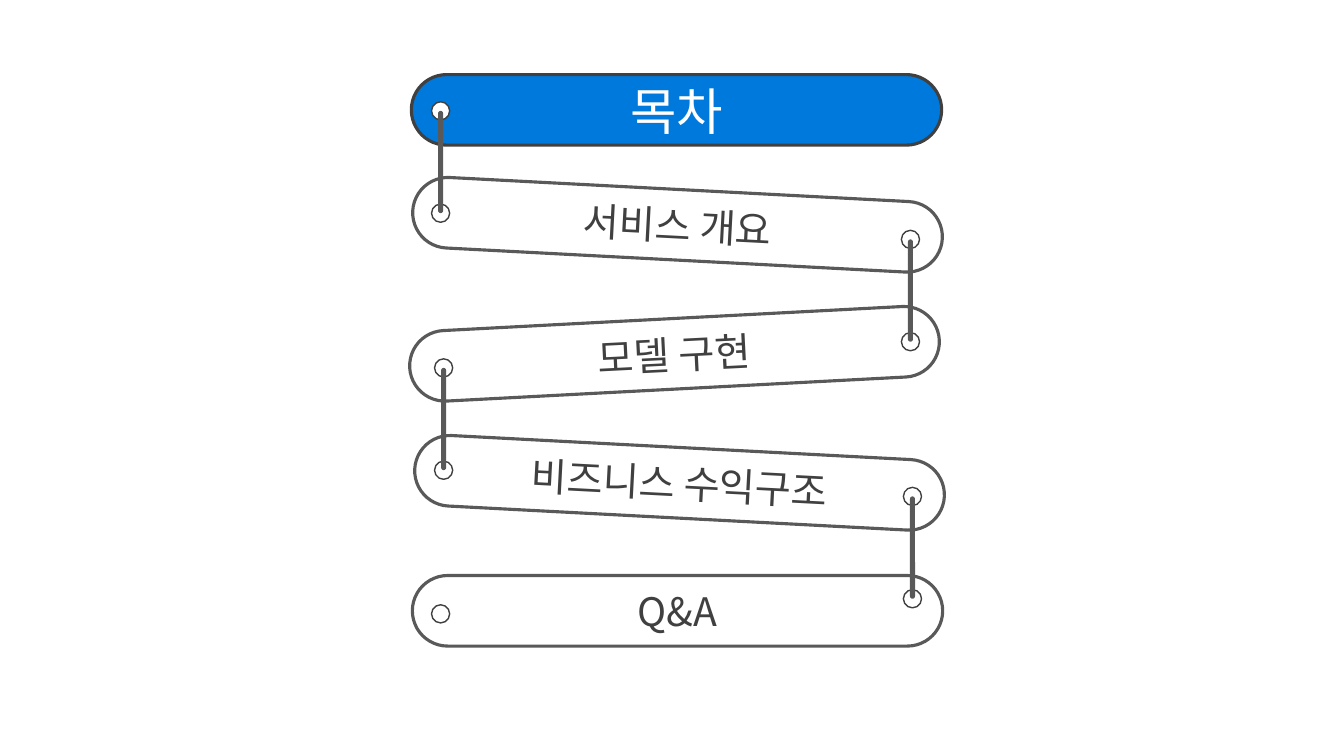
import pptx
import pptx.util
import pptx.dml.color
import pptx.enum.shapes
import pptx.enum.text
import pptx.oxml.ns
import lxml.etree

Inches = pptx.util.Inches
Pt = pptx.util.Pt
KIND = pptx.enum.shapes.MSO_SHAPE


def color(code):
    return pptx.dml.color.RGBColor.from_string(code)


class Deck:
    FONT = "Noto Sans CJK KR"
    BLUE, WHITE = "0079DC", "FFFFFF"
    DARK, GRAY = "404040", "595959"
    WIDE, HIGH = 5.26, 0.7    # plate
    HOLE, ROD = 0.18, 0.05    # hole size, rod width
    SPAN = 1.015              # from hole to hole

    def __init__(self):
        self.file = pptx.Presentation()
        self.file.slide_width = Inches(13.33)
        self.file.slide_height = Inches(7.5)
        self.slide = self.file.slides.add_slide(self.file.slide_layouts[6])

    def shape(self, kind, left, top, width, height, fill, line=None, weight=1):
        item = self.slide.shapes.add_shape(
            kind, Inches(left), Inches(top), Inches(width), Inches(height))
        item.shadow.inherit = False
        item.fill.solid()
        item.fill.fore_color.rgb = color(fill)
        if line:
            item.line.color.rgb = color(line)
            item.line.width = Pt(weight)
        else:
            item.line.fill.background()
        if kind == KIND.ROUNDED_RECTANGLE:
            item.adjustments[0] = 0.5
        return item

    def plate(self, text, left, top, turn, size, fill, line, ink):
        item = self.shape(KIND.ROUNDED_RECTANGLE, left, top,
                          self.WIDE, self.HIGH, fill, line, 2.25)
        item.rotation = turn
        frame = item.text_frame
        frame.text = text
        frame.vertical_anchor = pptx.enum.text.MSO_ANCHOR.MIDDLE
        para = frame.paragraphs[0]
        para.alignment = pptx.enum.text.PP_ALIGN.CENTER
        font = para.runs[0].font
        font.name, font.size = self.FONT, Pt(size)
        font.color.rgb = color(ink)
        # Korean letters take the East Asian font
        props = para.runs[0]._r.get_or_add_rPr()
        east = lxml.etree.SubElement(props, pptx.oxml.ns.qn("a:ea"))
        east.set("typeface", self.FONT)

    def hole(self, x, y):
        self.shape(KIND.OVAL, x - self.HOLE / 2, y - self.HOLE / 2,
                   self.HOLE, self.HOLE, self.WHITE, self.DARK)

    def link(self, x, y):
        self.hole(x, y)
        self.hole(x, y + self.SPAN)
        self.shape(KIND.ROUNDED_RECTANGLE, x - self.ROD / 2, y,
                   self.ROD, self.SPAN, self.GRAY)


deck = Deck()

# Title plate
deck.plate("목차", 4.08, 0.74, 0, 36, deck.BLUE, deck.DARK, deck.WHITE)

# Agenda plates: text, left, top, turn
agenda = [
    ("서비스 개요", 4.09, 1.88, 3),
    ("모델 구현", 4.06, 3.16, 357),
    ("비즈니스 수익구조", 4.11, 4.44, 3),
    ("Q&A", 4.09, 5.71, 0),
]
for text, left, top, turn in agenda:
    deck.plate(text, left, top, turn, 28, deck.WHITE, deck.GRAY, deck.DARK)

# Links between plates, on alternate sides
for step, x in enumerate([4.37, 9.03, 4.4, 9.05]):
    deck.link(x, 1.1 + step * 1.275)

# Free hole on the last plate
deck.hole(4.37, 6.09)

deck.file.save("out.pptx")
